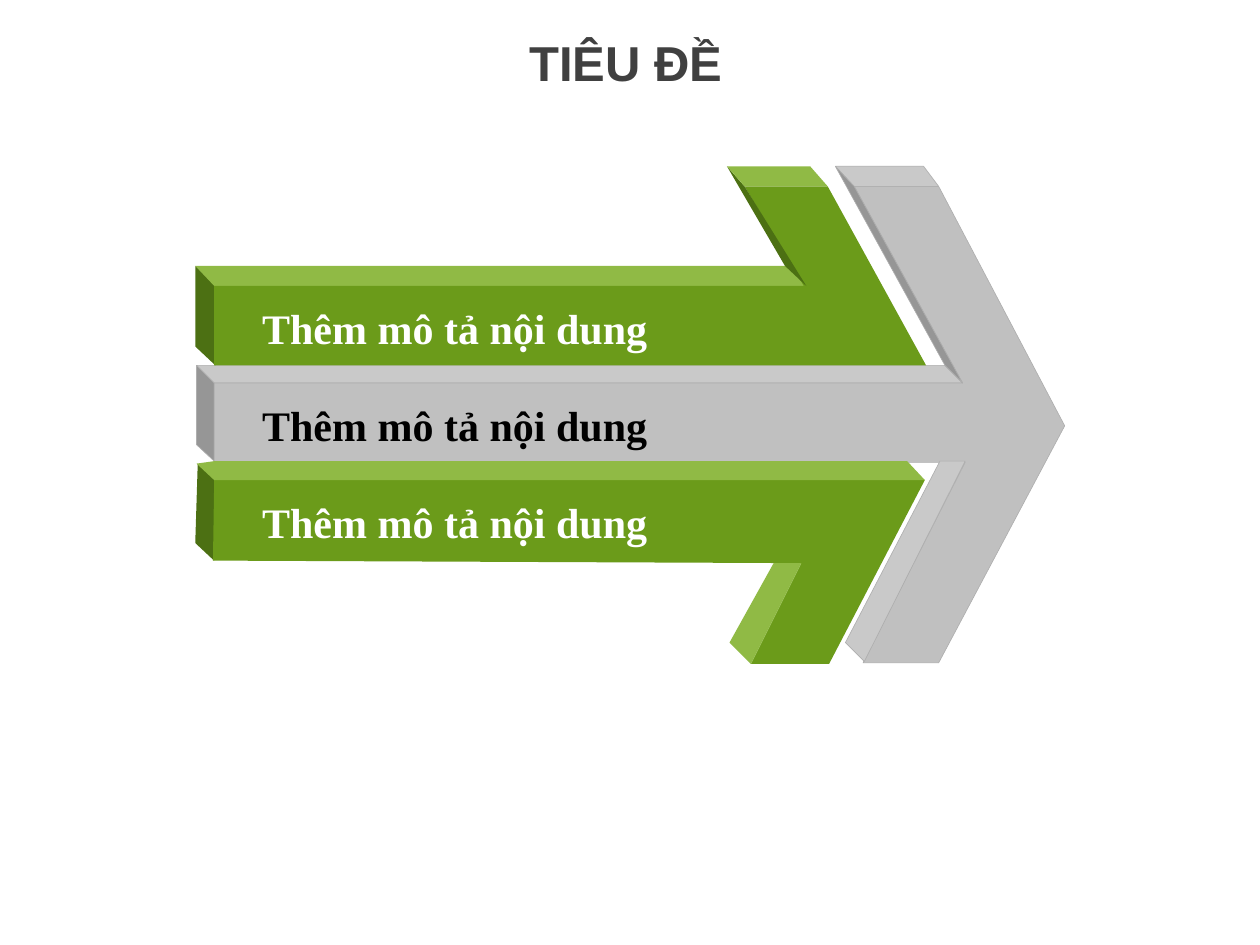
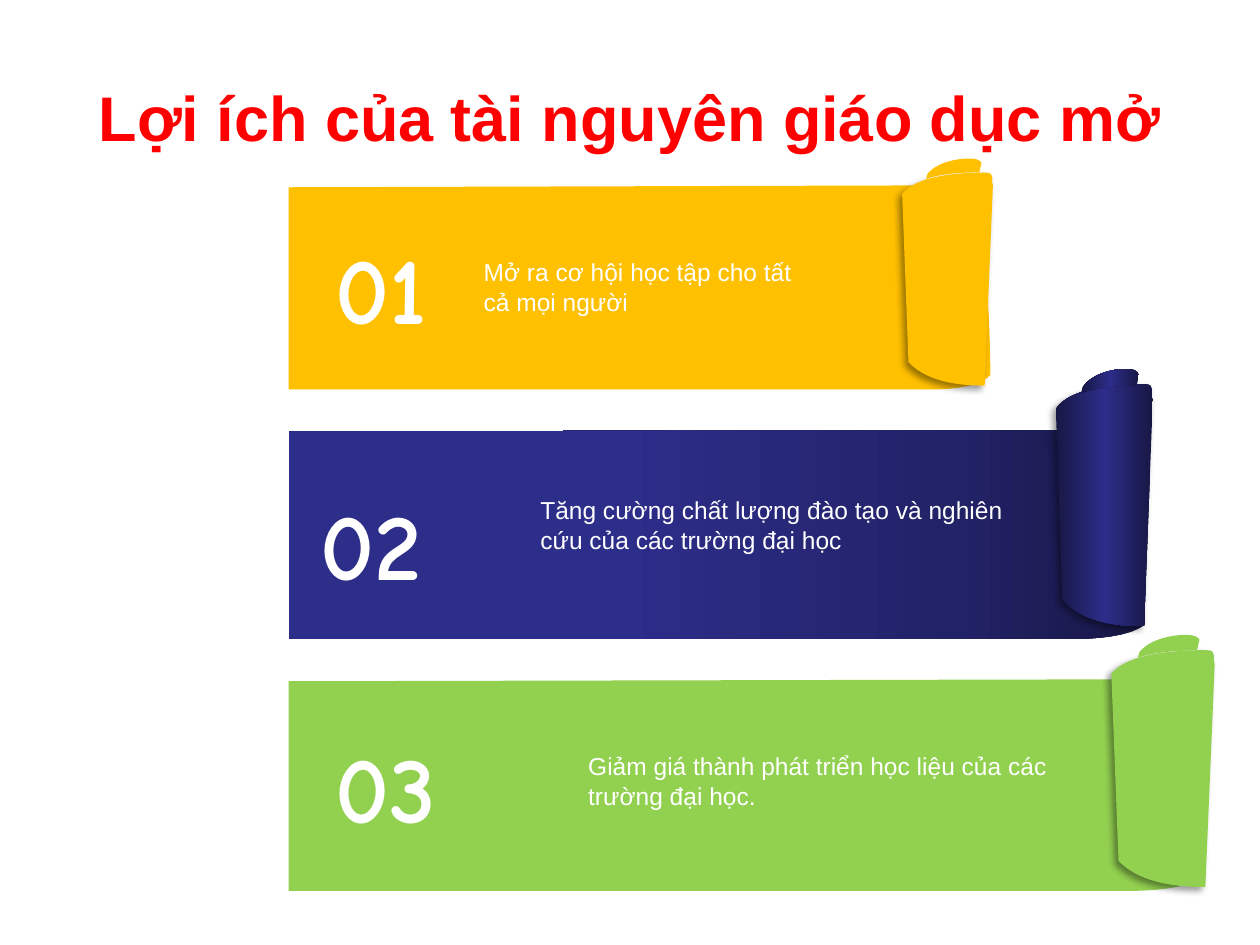
from dataclasses import dataclass
from typing import NamedTuple

from lxml import etree
from pptx import Presentation
from pptx.dml.color import RGBColor
from pptx.enum.text import MSO_ANCHOR, MSO_AUTO_SIZE, PP_ALIGN
from pptx.oxml.ns import qn
from pptx.util import Inches, Pt

TOP, MIDDLE = MSO_ANCHOR.TOP, MSO_ANCHOR.MIDDLE
LEFT, CENTER = PP_ALIGN.LEFT, PP_ALIGN.CENTER
NO_FIT, GROW = MSO_AUTO_SIZE.NONE, MSO_AUTO_SIZE.SHAPE_TO_FIT_TEXT

# The slide is a grid of 10 columns by 7.5 rows with square cells.
COLS, ROWS = 10, 7.5
CELL = Inches(1)

WHITE = RGBColor(0xFF, 0xFF, 0xFF)
BLACK = RGBColor(0x00, 0x00, 0x00)
CHARCOAL = RGBColor(0x40, 0x40, 0x40)
RED = RGBColor(0xFF, 0x00, 0x00)
GREY_FRONT = RGBColor(0xC0, 0xC0, 0xC0)
GREY_LIGHT = RGBColor(0xC9, 0xC9, 0xC9)
GREY_DARK = RGBColor(0x96, 0x96, 0x96)
GREY_EDGE = RGBColor(0xAE, 0xAE, 0xAE)
GREEN_FRONT = RGBColor(0x6B, 0x9B, 0x1A)
GREEN_LIGHT = RGBColor(0x90, 0xBA, 0x45)
GREEN_DARK = RGBColor(0x4C, 0x70, 0x13)
AMBER = RGBColor(0xFF, 0xC0, 0x00)
LIME = RGBColor(0x92, 0xD0, 0x50)
NAVY_DARK = RGBColor(0x17, 0x17, 0x45)
NAVY_MID = RGBColor(0x22, 0x22, 0x67)
NAVY = RGBColor(0x2D, 0x2D, 0x8A)

BODY_GRADIENT = ((0, NAVY_DARK), (22, NAVY_MID), (61, NAVY))
ROLL_GRADIENT = ((0, NAVY_DARK), (50, NAVY), (100, NAVY_DARK))

Point = tuple[float, float]
Outline = list[list[Point]]  # one point is a line, three are a Bézier curve


class Box(NamedTuple):
    x: float
    y: float
    w: float
    h: float


class Face(NamedTuple):
    color: RGBColor
    points: list[Point]


@dataclass(frozen=True)
class TextStyle:
    size: float
    color: RGBColor
    name: str = "Arial"
    bold: bool = False
    align: int = LEFT
    anchor: int = TOP
    wrap: bool = True
    margins: bool = True


@dataclass(frozen=True)
class Banner:
    number: str
    number_at: Point
    lines: list[str]
    text: Box
    body: Box
    roll: Box
    curl: Box
    body_fill: RGBColor | tuple
    roll_fill: RGBColor | tuple


ARROW_TITLE = TextStyle(28, CHARCOAL, bold=True, wrap=False)
BANNER_TITLE = TextStyle(36, RED, bold=True, align=CENTER, anchor=MIDDLE)
NUMBER = TextStyle(54, WHITE, "Comic Neue", True, CENTER, MIDDLE, wrap=False)
BENEFIT = TextStyle(14, WHITE, anchor=MIDDLE)

MIDDLE_ARROW = [
    Face(GREY_LIGHT, [(1.56, 2.9), (1.7, 3.04), (7.64, 3.04), (7.5, 2.9)]),
    Face(GREY_DARK, [(1.7, 3.04), (1.7, 3.66), (1.56, 3.53), (1.56, 2.9)]),
    Face(GREY_FRONT, [(1.7, 3.67), (7.66, 3.67), (6.85, 5.26), (7.45, 5.26), (8.45, 3.38),
                      (7.45, 1.48), (6.78, 1.48), (7.64, 3.04), (1.7, 3.04)]),
    Face(GREY_LIGHT, [(6.78, 1.48), (6.63, 1.32), (7.33, 1.32), (7.45, 1.48)]),
    Face(GREY_LIGHT, [(6.86, 5.25), (6.71, 5.1), (7.46, 3.66), (7.66, 3.66)]),
    Face(GREY_DARK, [(7.5, 2.9), (6.63, 1.32), (6.78, 1.48), (7.64, 3.04)]),
]
LOWER_ARROW = [
    Face(GREEN_DARK, [(1.57, 3.68), (1.71, 3.81), (1.7, 4.45), (1.55, 4.31)]),
    Face(GREEN_FRONT, [(1.7, 3.81), (7.34, 3.81), (6.58, 5.27), (5.96, 5.27), (6.36, 4.47),
                       (1.69, 4.45)]),
    Face(GREEN_LIGHT, [(1.56, 3.68), (1.7, 3.66), (7.2, 3.66), (7.34, 3.81), (1.7, 3.81)]),
    Face(GREEN_LIGHT, [(5.96, 5.27), (5.79, 5.1), (6.14, 4.47), (6.36, 4.47)]),
]
UPPER_ARROW = [
    Face(GREEN_DARK, [(1.71, 2.9), (1.71, 2.27), (1.55, 2.11), (1.55, 2.75)]),
    Face(GREEN_LIGHT, [(1.7, 2.27), (6.4, 2.27), (6.24, 2.11), (1.55, 2.11)]),
    Face(GREEN_FRONT, [(1.7, 2.9), (7.35, 2.9), (6.57, 1.48), (5.91, 1.48), (6.38, 2.27),
                       (1.7, 2.27)]),
    Face(GREEN_DARK, [(6.23, 2.11), (5.77, 1.32), (5.91, 1.48), (6.4, 2.27)]),
    Face(GREEN_LIGHT, [(5.77, 1.32), (6.43, 1.32), (6.57, 1.48), (5.91, 1.48)]),
]
ARROW_TEXT = "Thêm mô tả nội dung"
LABEL_COLORS = [WHITE, BLACK, WHITE]
LABEL_TOP, LABEL_PITCH = 2.4, 0.77

# Banner outlines in shares of their box.
BODY = [[(0, 0.01)], [(0, 1)], [(0.92, 1)],
        [(0.96, 1), (0.99, 0.97), (1, 0.93)],
        [(1, 0.62), (0.99, 0.31), (0.99, 0)]]
ROLL = [[(0.91, 1)],
        [(0.68, 1), (0.29, 0.99), (0.07, 0.89)],
        [(0, 0.1)],
        [(0.16, 0.01), (0.66, 0), (0.92, 0)],
        [(1.04, 0), (0.97, 0.04), (1, 0.06)]]
CURL = [[(0, 1)], [(0.03, 0.74)],
        [(0.24, 0.05), (0.7, -0.04), (0.84, 0)],
        [(0.91, 0), (0.98, 0.1), (1, 0.2)],
        [(0.96, 0.68)],
        [(0.72, 0.68), (0.33, 0.71), (0, 1)]]

BANNERS = [
    Banner("01", (2.46, 1.77), ["Mở ra cơ hội học tập cho tất cả mọi người"],
           Box(3.74, 1.99, 2.87, 0.57), Box(2.29, 1.47, 5.57, 1.62),
           Box(7.16, 1.37, 0.72, 1.69), Box(7.35, 1.26, 0.44, 0.16), AMBER, AMBER),
    Banner("02", (2.38, 3.8),
           ["Tăng cường chất lượng đào tạo và nghiên", "cứu của các trường đại học"],
           Box(4.19, 3.88, 4.46, 0.57), Box(2.29, 3.41, 6.8, 1.66),
           Box(8.38, 3.05, 0.77, 1.92), Box(8.58, 2.93, 0.46, 0.19),
           BODY_GRADIENT, ROLL_GRADIENT),
    Banner("03", (2.5, 5.73),
           ["Giảm giá thành phát triển học liệu của các", "trường đại học."],
           Box(4.57, 5.91, 4.46, 0.57), Box(2.29, 5.39, 7.27, 1.68),
           Box(8.82, 5.16, 0.82, 1.88), Box(9.03, 5.04, 0.49, 0.18), LIME, LIME),
]


def emu(lengths: Box | Point) -> list[int]:
    return [round(v * CELL) for v in lengths]


def write(sp, lines: list[str], style: TextStyle, fit: int) -> None:
    tf = sp.text_frame
    frame_format = {"word_wrap": style.wrap, "vertical_anchor": style.anchor, "auto_size": fit}
    if not style.margins:
        frame_format |= {f"margin_{side}": 0 for side in ("left", "top", "right", "bottom")}
    for key, value in frame_format.items():
        setattr(tf, key, value)
    for i, line in enumerate(lines):
        p = tf.add_paragraph() if i else tf.paragraphs[0]
        p.alignment = style.align
        r = p.add_run()
        r.text = line
        for key, value in {"size": Pt(style.size), "bold": style.bold,
                           "name": style.name}.items():
            setattr(r.font, key, value)
        r.font.color.rgb = style.color


def add_text(slide, box: Box, lines: list[str], style: TextStyle) -> None:
    write(slide.shapes.add_textbox(*emu(box)), lines, style, GROW)


def add_titled_slide(prs, title: str, box: Box, style: TextStyle):
    slide = prs.slides.add_slide(prs.slide_layouts[5])
    sp = slide.shapes.title
    for key, value in zip(("left", "top", "width", "height"), emu(box)):
        setattr(sp, key, value)
    write(sp, [title], style, NO_FIT)
    return slide


def set_gradient(sp, stops: tuple) -> None:
    """Fill with any number of stops, running from right to left."""
    sp.fill.gradient()
    sp.fill.gradient_angle = 180
    gs_list = sp.element.spPr.find(".//" + qn("a:gsLst"))
    for gs in list(gs_list):
        gs_list.remove(gs)
    for percent, color in stops:
        gs = etree.SubElement(gs_list, qn("a:gs"), pos=str(percent * 1000))
        etree.SubElement(gs, qn("a:srgbClr"), val=str(color))


def bend(sp, outline: Outline) -> None:
    """Turn the lines that stand for three-point segments into Bézier curves."""
    lines = list(sp.element.spPr.iter(qn("a:lnTo")))
    for line, segment in zip(lines, outline[1:]):
        if len(segment) == 1:
            continue
        curve = etree.Element(qn("a:cubicBezTo"))
        for point in segment:
            x, y = emu(point)
            etree.SubElement(curve, qn("a:pt"), x=str(x - sp.left), y=str(y - sp.top))
        line.getparent().replace(line, curve)


def add_outline(shapes, outline: Outline, fill: RGBColor | tuple,
                edge: RGBColor | None = None):
    start, *rest = [emu(segment[-1]) for segment in outline]
    builder = shapes.build_freeform(*start)
    builder.add_line_segments(rest, close=True)
    sp = builder.convert_to_shape()
    bend(sp, outline)
    if isinstance(fill, RGBColor):
        sp.fill.solid()
        sp.fill.fore_color.rgb = fill
    else:
        set_gradient(sp, fill)
    if edge is None:
        sp.line.fill.background()
    else:
        sp.line.color.rgb = edge
        sp.line.width = Pt(0.38)
    sp.shadow.inherit = False
    return sp


def add_shadow(sp) -> None:
    effects = sp.element.spPr.find(qn("a:effectLst"))
    shadow = etree.SubElement(effects, qn("a:outerShdw"), blurRad=str(Pt(4)), dist=str(Pt(3)),
                              dir=str(135 * 60000), algn="tr", rotWithShape="0")
    color = etree.SubElement(shadow, qn("a:srgbClr"), val=str(BLACK))
    etree.SubElement(color, qn("a:alpha"), val="40000")


def fit_to(outline: Outline, box: Box) -> Outline:
    return [[(box.x + x * box.w, box.y + y * box.h) for x, y in segment]
            for segment in outline]


def add_arrow(slide, faces: list[Face], edge: RGBColor | None = None) -> None:
    group = slide.shapes.add_group_shape()
    for face in faces:
        add_outline(group.shapes, [[point] for point in face.points], face.color, edge)


def add_banner(slide, banner: Banner) -> None:
    add_outline(slide.shapes, fit_to(BODY, banner.body), banner.body_fill)
    scroll = slide.shapes.add_group_shape().shapes
    add_shadow(add_outline(scroll, fit_to(ROLL, banner.roll), banner.roll_fill))
    add_outline(scroll, fit_to(CURL, banner.curl), banner.roll_fill)
    add_text(slide, Box(*banner.number_at, 1.13, 1.01), [banner.number], NUMBER)
    add_text(slide, banner.text, banner.lines, BENEFIT)


def build_arrow_slide(prs) -> None:
    slide = add_titled_slide(prs, "TIÊU ĐỀ", Box(4.1, 0.21, 1.75, 0.57), ARROW_TITLE)
    add_arrow(slide, MIDDLE_ARROW, GREY_EDGE)
    add_arrow(slide, LOWER_ARROW)
    add_arrow(slide, UPPER_ARROW)
    for row, color in enumerate(LABEL_COLORS):
        style = TextStyle(24, color, "Times New Roman", bold=True, margins=False)
        add_text(slide, Box(2.08, LABEL_TOP + row * LABEL_PITCH, 4.28, 0.4), [ARROW_TEXT], style)


def build_banner_slide(prs) -> None:
    slide = add_titled_slide(prs, "Lợi ích của tài nguyên giáo dục mở",
                             Box(0.5, 0.3, 9, 1.25), BANNER_TITLE)
    for banner in BANNERS:
        add_banner(slide, banner)


def main() -> None:
    prs = Presentation()
    prs.slide_width, prs.slide_height = round(COLS * CELL), round(ROWS * CELL)
    build_arrow_slide(prs)
    build_banner_slide(prs)
    prs.save("out.pptx")


if __name__ == "__main__":
    main()
